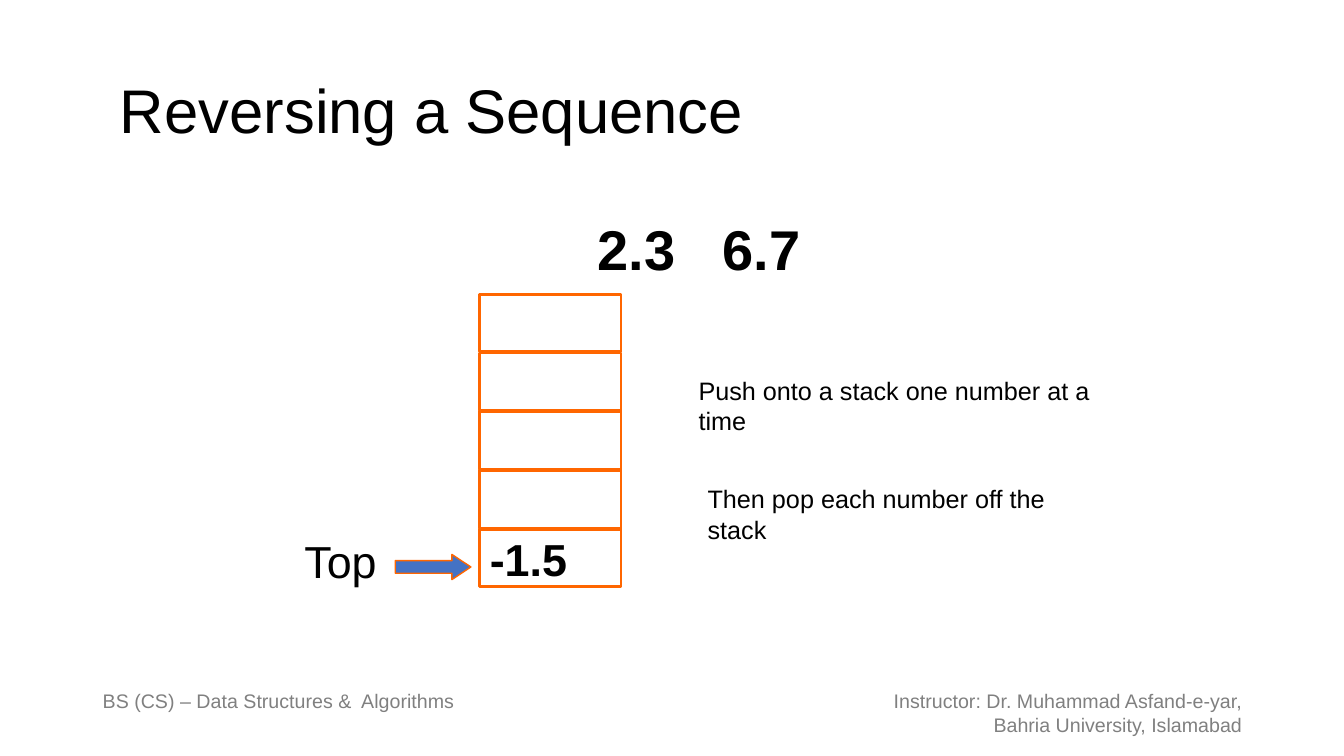
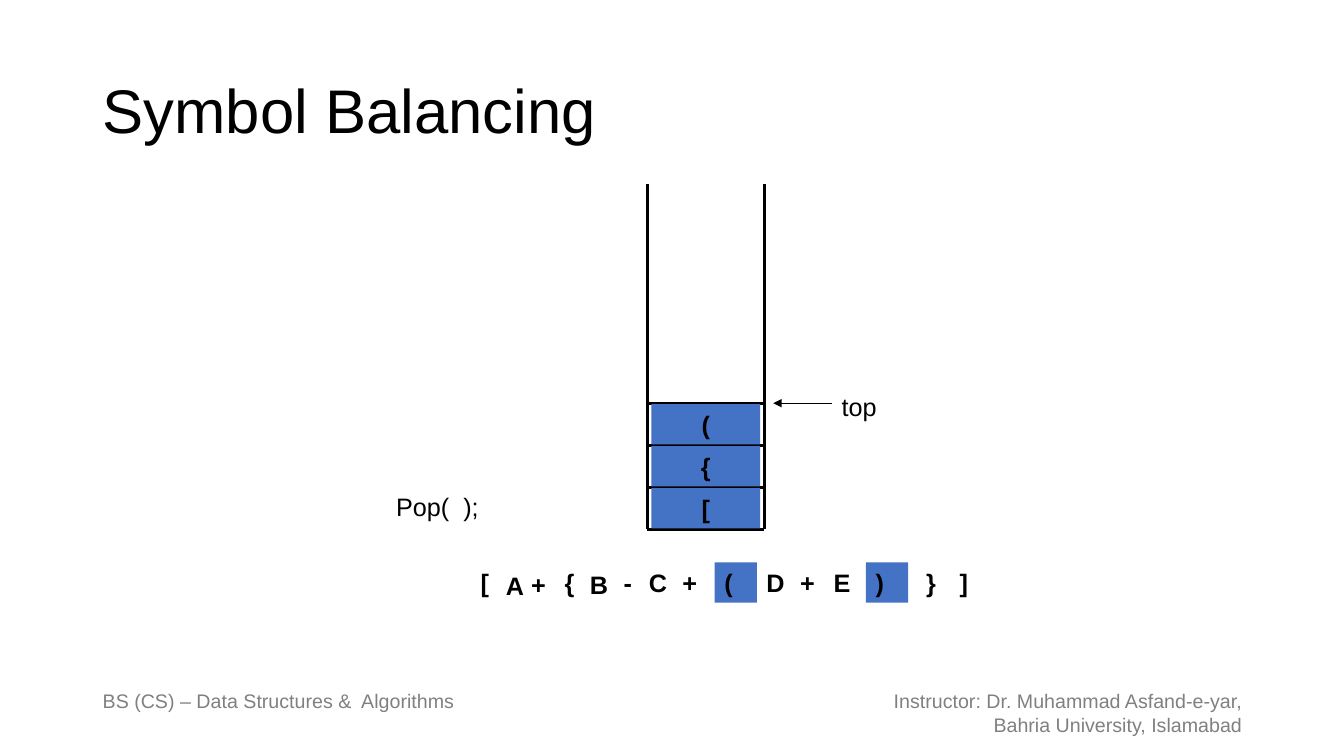
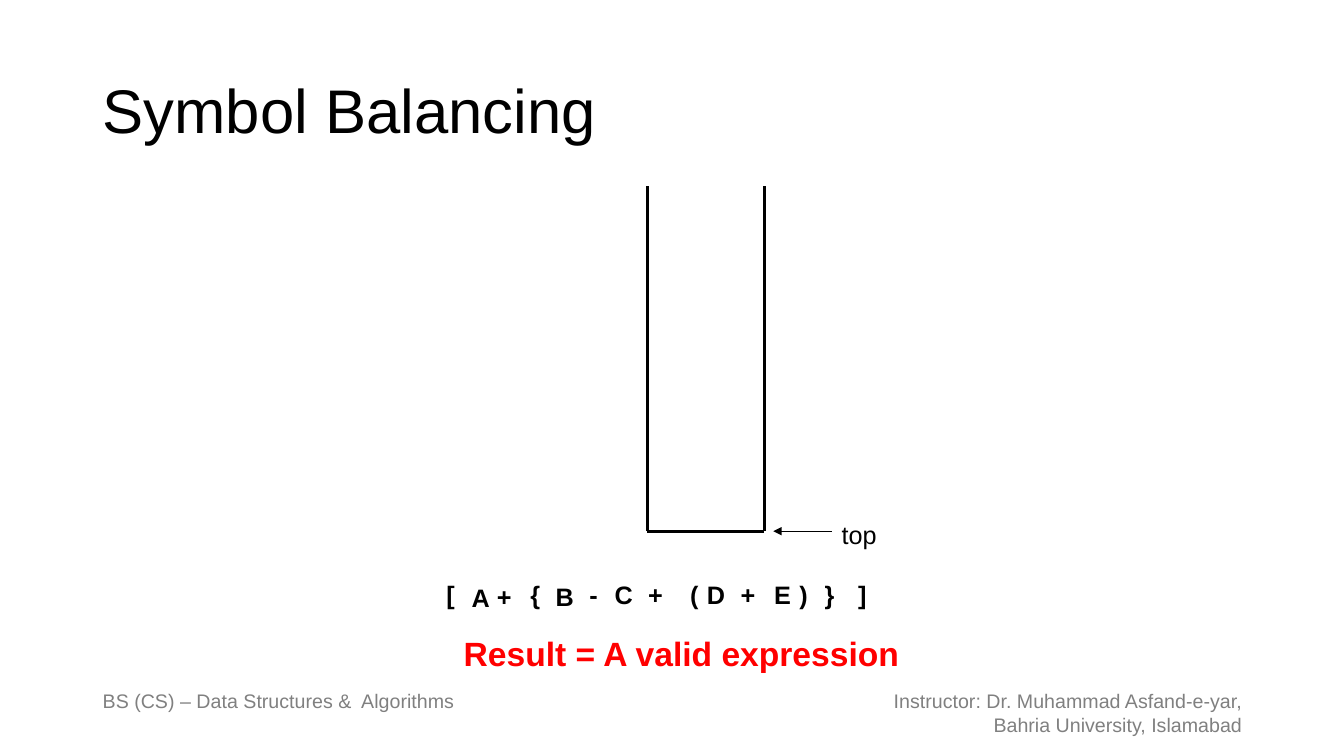
"""Build three slides on reversing a sequence and balancing symbols with a stack."""
import lxml.etree
import pptx
import pptx.dml.color
import pptx.enum.shapes
import pptx.enum.text
import pptx.oxml.ns
import pptx.util

Inches = pptx.util.Inches
Pt = pptx.util.Pt
RGBColor = pptx.dml.color.RGBColor
SHAPE = pptx.enum.shapes.MSO_SHAPE
ALIGN = pptx.enum.text.PP_ALIGN
ANCHOR = pptx.enum.text.MSO_ANCHOR
qn = pptx.oxml.ns.qn

BLACK = RGBColor(0, 0, 0)
GRAY = RGBColor(0x80, 0x80, 0x80)
BLUE = RGBColor(0x44, 0x72, 0xC4)
ORANGE = RGBColor(0xFF, 0x66, 0)
RED = RGBColor(0xFF, 0, 0)

WELL_LEFT, WELL_RIGHT, WELL_DEPTH = 6.42, 7.58, 3.42
LEVEL = 5 / 12
SYMBOLS = [
    ("[", 0.33, 0), ("A", 0.42, 0.03), ("+", 0.33, 0.02), ("{", 0.33, 0),
    ("B", 0.42, 0.02), ("-", 0.33, 0), ("C", 0.42, 0), ("+", 0.42, 0),
    ("(", 0.42, 0), ("D", 0.42, 0), ("+", 0.42, 0), ("E", 0.42, 0),
    (")", 0.42, 0), ("}", 0.42, 0), ("]", 0.42, 0),
]


class Deck:
    def __init__(self):
        self.prs = pptx.Presentation()
        self.prs.slide_width = Inches(13.33)
        self.prs.slide_height = Inches(7.5)
        self.s = None

    def slide(self, title, indent=0):
        self.s = self.prs.slides.add_slide(self.prs.slide_layouts[6])
        self.footer(0.92, 3.71, 0.34, ["BS (CS) – Data Structures &  Algorithms"], ALIGN.LEFT)
        self.footer(8.75, 3.67, 0.57, ["Instructor: Dr. Muhammad Asfand-e-yar,",
                                       "Bahria University, Islamabad"], ALIGN.RIGHT)
        sp = self.text(0.92, 0.4, 11.5, 1.45, [title], 44)
        sp.text_frame.vertical_anchor = ANCHOR.MIDDLE
        sp.text_frame.margin_left = Inches(0.1 + indent)
        sp.text_frame.paragraphs[0].line_spacing = 0.9

    def footer(self, x, w, h, lines, align):
        sp = self.text(x, 6.79, w, h, lines, 14, color=GRAY, align=align)
        sp.text_frame.word_wrap = False
        sp.text_frame.auto_size = pptx.enum.text.MSO_AUTO_SIZE.SHAPE_TO_FIT_TEXT

    def text(self, x, y, w, h, lines, size=18, **style):
        sp = self.s.shapes.add_textbox(Inches(x), Inches(y), Inches(w), Inches(h))
        self.fill_text(sp, lines, size, **style)
        return sp

    def fill_text(self, sp, lines, size=18, bold=False, color=BLACK, align=ALIGN.LEFT):
        tf = sp.text_frame
        tf.word_wrap = True
        for i, line in enumerate(lines):
            p = tf.add_paragraph() if i else tf.paragraphs[0]
            p.alignment = align
            r = p.add_run()
            r.text = line
            r.font.name = "Arial"
            r.font.size = Pt(size)
            r.font.bold = bold
            r.font.color.rgb = color

    def shape(self, kind, x, y, w, h, fill=None, line=None, width=1):
        sp = self.s.shapes.add_shape(kind, Inches(x), Inches(y), Inches(w), Inches(h))
        sp.shadow.inherit = False
        if fill is None:
            sp.fill.background()
        else:
            sp.fill.solid()
            sp.fill.fore_color.rgb = fill
        if line is None:
            sp.line.fill.background()
        else:
            sp.line.color.rgb = line
            sp.line.width = Pt(width)
        return sp

    def block(self, x, y, w, symbol, align=ALIGN.LEFT):
        sp = self.shape(SHAPE.RECTANGLE, x, y, w, 0.4, BLUE)
        sp.text_frame.vertical_anchor = ANCHOR.TOP
        self.fill_text(sp, [symbol], bold=True, align=align)

    def line(self, x1, y1, x2, y2, width=2.25, arrow=False):
        cx = self.s.shapes.add_connector(pptx.enum.shapes.MSO_CONNECTOR.STRAIGHT,
                                         Inches(x1), Inches(y1), Inches(x2), Inches(y2))
        cx.line.color.rgb = BLACK
        cx.line.width = Pt(width)
        spPr = cx._element.spPr
        if arrow:
            lxml.etree.SubElement(spPr.get_or_add_ln(), qn("a:tailEnd"), type="triangle")
        lxml.etree.SubElement(spPr, qn("a:effectLst"))

    def well(self, top, stacked=""):
        bottom = top + WELL_DEPTH
        for x in (WELL_LEFT, WELL_RIGHT):
            self.line(x, top, x, bottom)
        self.line(WELL_LEFT, bottom, WELL_RIGHT, bottom)
        level = bottom
        for symbol in stacked:
            level -= LEVEL
            self.line(WELL_LEFT, level, WELL_RIGHT, level)
            self.block(WELL_LEFT + 0.04, level + 0.01, 1.08, symbol, ALIGN.CENTER)
        self.text(8.25, level - 0.17, 1.5, 0.4, ["top"])
        self.line(8.25, level, 7.67, level, 0.75, arrow=True)

    def expression(self, x, y, steps, marked=""):
        for (symbol, w, drop), step in zip(SYMBOLS, steps):
            x += step / 12
            if symbol in marked:
                self.block(x, y, w, symbol)
            else:
                self.text(x, y + drop, w, 0.4, [symbol], bold=True)


def reversing(deck):
    deck.slide("Reversing a Sequence", indent=0.17)
    sp = deck.text(5.83, 2.08, 5.33, 0.78, ["2.3\t6.7"], 40, bold=True)
    pPr = sp.text_frame.paragraphs[0]._p.get_or_add_pPr()
    tabs = lxml.etree.SubElement(pPr, qn("a:tabLst"))
    lxml.etree.SubElement(tabs, qn("a:tab"), pos=str(Inches(1.24)), algn="l")
    deck.text(6.83, 3.67, 4.25, 0.71, ["Push onto a stack one number at a time"])
    deck.text(6.92, 4.75, 4.17, 0.71, ["Then pop each number off the stack"])
    for i in range(5):
        cell = deck.shape(SHAPE.RECTANGLE, 4.76, 2.92 + i * 7 / 12, 1.4, 0.57, line=ORANGE, width=2)
    deck.fill_text(cell, ["-1.5"], 32, bold=True)
    deck.text(2.92, 5.25, 1.08, 0.65, ["Top"], 32)
    arrow = deck.shape(SHAPE.RIGHT_ARROW, 3.92, 5.5, 0.75, 0.25, BLUE, ORANGE)
    arrow.adjustments[1] = 0.75


def balancing(deck):
    deck.slide("Symbol Balancing")
    deck.well(1.83, "[{(")
    deck.expression(4.67, 5.58, [0, 3, 3, 4, 3, 4, 3, 4, 5, 5, 4, 4, 5, 6, 4], marked="()")
    deck.text(3.83, 4.83, 1.58, 0.4, ["Pop(  );"])


def balanced(deck):
    deck.slide("Symbol Balancing")
    deck.well(1.85)
    deck.expression(4.33, 5.7, [0, 3, 3, 4, 3, 4, 3, 4, 5, 2, 4, 4, 3, 3, 4])
    deck.text(4.5, 6.23, 4.74, 0.5, ["Result = A valid expression"], 24, bold=True, color=RED)


def main():
    deck = Deck()
    reversing(deck)
    balancing(deck)
    balanced(deck)
    deck.prs.save("out.pptx")


if __name__ == "__main__":
    main()
